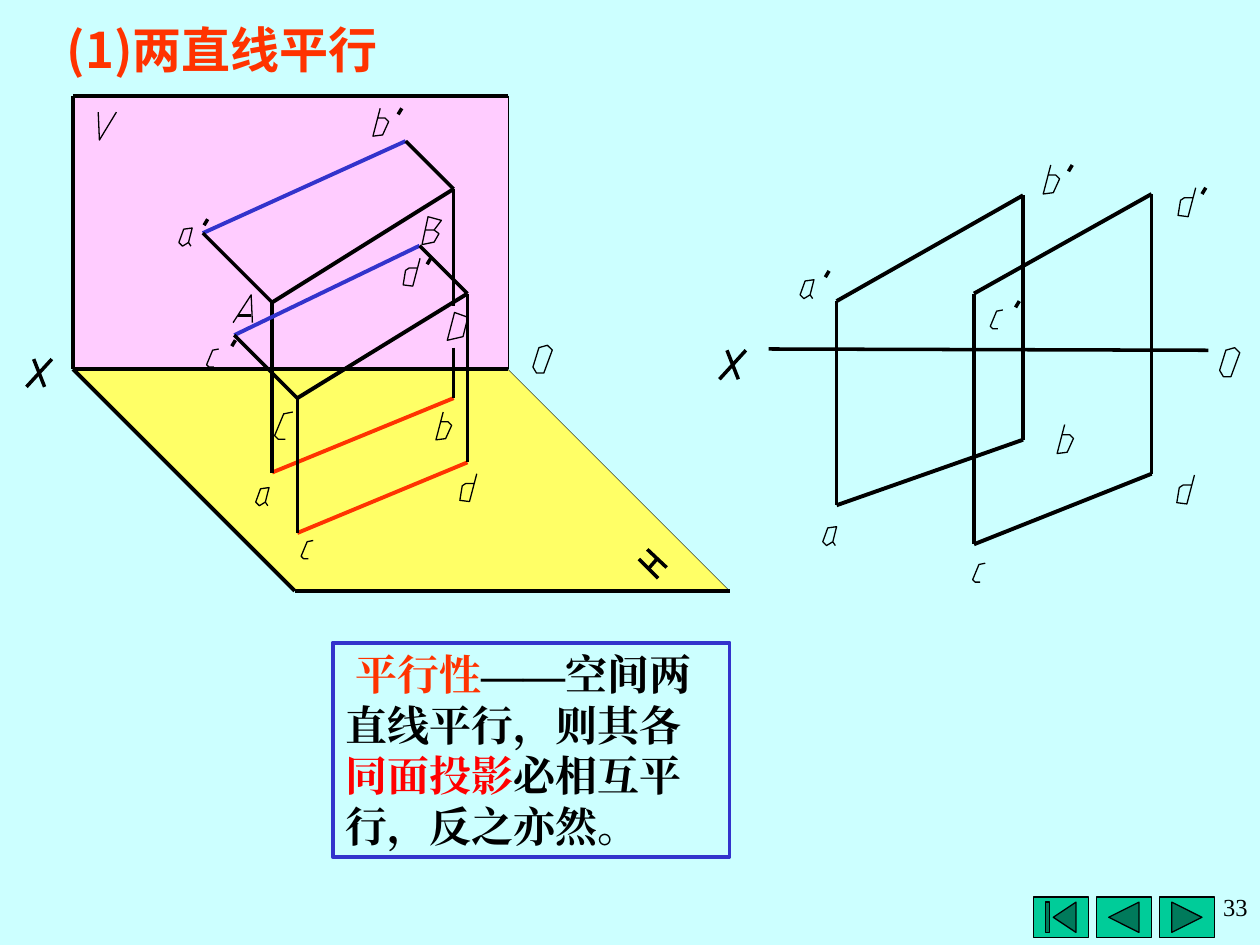
"""Build the slide on parallel lines: a two-plane view, its projections and the rule."""
import pptx
import pptx.dml.color
import pptx.enum.shapes
import pptx.enum.text
import pptx.oxml.ns
import pptx.util
from lxml import etree

RGBColor = pptx.dml.color.RGBColor
BLACK = RGBColor(0x00, 0x00, 0x00)
BLUE = RGBColor(0x33, 0x33, 0xCC)
ORANGE = RGBColor(0xFF, 0x33, 0x00)
RED = RGBColor(0xFF, 0x00, 0x00)
PINK = RGBColor(0xFF, 0xCC, 0xFF)
YELLOW = RGBColor(0xFF, 0xFF, 0x66)
GREEN = RGBColor(0x00, 0xCC, 0x99)
PALE_CYAN = RGBColor(0xCC, 0xFF, 0xFF)
HAIR, THIN, EDGE, THICK = 0, 0.25, 0.75, 2.25
LATIN_FONT, CHINESE_FONT = "Times New Roman", "Noto Sans CJK SC"
SHAPE = pptx.enum.shapes.MSO_SHAPE
ALIGN, ANCHOR = pptx.enum.text.PP_ALIGN, pptx.enum.text.MSO_ANCHOR

presentation = pptx.Presentation()
presentation.slide_width = pptx.util.Inches(10)
presentation.slide_height = pptx.util.Inches(7.5)
COLUMN = presentation.slide_width // 1000
ROW = presentation.slide_height // 750
slide = presentation.slides.add_slide(presentation.slide_layouts[5])
slide.background.fill.solid()
slide.background.fill.fore_color.rgb = PALE_CYAN


def draw_stroke(shapes, points, color=BLACK, width=HAIR):
    """Draw a connector through two points, or an open or closed outline through more."""
    places = [(round(x * COLUMN), round(y * ROW)) for x, y in points]
    if len(places) == 2:
        straight = pptx.enum.shapes.MSO_CONNECTOR.STRAIGHT
        shape = shapes.add_connector(straight, *places[0], *places[1])
    else:
        builder = shapes.build_freeform(*places[0], scale=1.0)
        builder.add_line_segments(places[1:], close=places[0] == places[-1])
        shape = builder.convert_to_shape()
        shape.fill.background()
    shape.line.color.rgb = color
    shape.line.width = pptx.util.Pt(width)
    if len(places) == 2:
        etree.SubElement(shape._element.spPr, pptx.oxml.ns.qn("a:effectLst"))
    else:
        shape.shadow.inherit = False
    return shape


def write_text(shape, box, runs, paragraph_format, font_format, anchor):
    """Place a shape on the grid and fill it with one formatted paragraph."""
    for name, value, unit in zip(("left", "top", "width", "height"), box, (COLUMN, ROW) * 2):
        setattr(shape, name, value * unit)
    frame_format = {
        "word_wrap": True,
        "auto_size": pptx.enum.text.MSO_AUTO_SIZE.NONE,
        "vertical_anchor": anchor,
    }
    for name, value in frame_format.items():
        setattr(shape.text_frame, name, value)
    paragraph = shape.text_frame.paragraphs[0]
    for name, value in paragraph_format.items():
        setattr(paragraph, name, value)
    for text, color in runs:
        run = paragraph.add_run()
        run.text = text
        for name, value in font_format.items():
            setattr(run.font, name, value)
        run.font.color.rgb = color
        east_asian = etree.SubElement(run._r.get_or_add_rPr(), pptx.oxml.ns.qn("a:ea"))
        east_asian.set("typeface", font_format["name"])
    return paragraph


buttons = [SHAPE.ACTION_BUTTON_BEGINNING, SHAPE.ACTION_BUTTON_BACK_OR_PREVIOUS,
           SHAPE.ACTION_BUTTON_FORWARD_OR_NEXT]
for index, kind in enumerate(buttons):
    button = slide.shapes.add_shape(
        kind, (820 + 50 * index) * COLUMN, 712 * ROW, 44 * COLUMN, 32 * ROW)
    button.shadow.inherit = False
    button.fill.solid()
    button.fill.fore_color.rgb = GREEN
    button.line.color.rgb = BLACK
    button.line.width = pptx.util.Pt(EDGE)

LEFT, RIGHT, TOP, AXIS, DEPTH = 58, 403, 76, 293, 176
top_left, top_right = (LEFT, TOP), (RIGHT, TOP)
axis_left, axis_right = (LEFT, AXIS), (RIGHT, AXIS)
front_left, front_right = (LEFT + DEPTH, AXIS + DEPTH), (RIGHT + DEPTH, AXIS + DEPTH)
planes = [(front_left, front_right, YELLOW), (top_left, top_right, PINK)]
for far_left, far_right, color in planes:
    outline = [axis_left, axis_right, far_right, far_left, axis_left]
    plane = draw_stroke(slide.shapes, outline)
    plane.fill.solid()
    plane.fill.fore_color.rgb = color
    plane.line.fill.background()

write_text(
    slide.shapes.title, (43, 10, 314, 57), [("(1)两直线平行", ORANGE)],
    {"alignment": ALIGN.LEFT},
    {"name": CHINESE_FONT, "size": pptx.util.Pt(28), "bold": True}, ANCHOR.MIDDLE)

rule_box = slide.shapes.add_shape(SHAPE.RECTANGLE, 0, 0, COLUMN, ROW)
rule_box.shadow.inherit = False
rule_box.fill.background()
rule_box.line.color.rgb = BLUE
rule_box.line.width = pptx.util.Pt(THICK)
rule_runs = [("平行性", ORANGE), ("——空间两直线平行，则其各", BLACK),
             ("同面投影", RED), ("必相互平行，反之亦然。", BLACK)]
rule = write_text(
    rule_box, (264, 510, 315, 170), rule_runs,
    {"alignment": ALIGN.LEFT, "line_spacing": pptx.util.Pt(28.8)},
    {"name": LATIN_FONT, "size": pptx.util.Pt(24), "bold": True}, ANCHOR.MIDDLE)
rule._p.get_or_add_pPr().set("indent", str(8 * COLUMN))

LETTERS = {
    "a": [[(10, 15), (8, 12), (11, 0), (4, 1), (0, 12), (3, 15), (8, 12)]],
    "b": [[(6, 0), (0, 23), (8, 22), (13, 11), (10, 8), (4, 8)]],
    "c": [[(10, 0), (5, 1), (0, 13), (2, 15), (6, 15)]],
    "d": [[(15, 0), (9, 23), (1, 22), (3, 10), (6, 8), (13, 8)]],
    "′": [[(0, 5), (3, 0)]],
    "A": [[(0, 23), (15, 0), (16, 23)], [(15, 17), (4, 17)]],
    "B": [[(3, 11), (10, 11), (16, 3), (5, 0), (0, 23), (10, 21), (14, 14), (10, 11)]],
    "D": [[(0, 23), (6, 0), (17, 4), (13, 20), (0, 23)]],
    "H": [[(0, 8), (16, 24)], [(8, 16), (15, 8)], [(7, 0), (23, 15)]],
    "O": [[(3, 23), (9, 23), (16, 4), (12, 0), (5, 2), (0, 18), (3, 23)]],
    "V": [[(0, 0), (1, 23), (15, 0)]],
    "X": [[(6, 0), (15, 23)], [(21, 0), (0, 23)]],
}
LETTERS["C"] = [[(x * 1.5, y * 1.5) for x, y in LETTERS["c"][0]]]

projection = {
    "scale": 1,
    "foot_color": BLACK,
    "edges": [((610, 277), (959, 278), HAIR)],
    "pairs": [[(664, 239, 0, 401), (812, 155, 0, 349)],
              [(773, 233, 0, 432), (914, 154, 0, 376)]],
    "labels": [("O", 968, 276), ("X", 571, 278), ("a", 653, 418), ("b", 839, 337),
               ("c", 772, 447), ("d", 933, 377), ("a′", 635, 222), ("b′", 828, 131),
               ("c′", 786, 246), ("d′", 934, 149)],
}
space_view = {
    "scale": 0.96,
    "foot_color": ORANGE,
    "edges": [(axis_left, front_left, THICK), (axis_right, front_right, THIN),
              (front_left, front_right, THICK), (top_left, top_right, THICK),
              (top_right, axis_right, THIN), (axis_right, axis_left, HAIR),
              (axis_left, top_left, THICK)],
    "pairs": [[(216, 240, 55, 375), (360, 150, 38, 316)],
              [(236, 316, 50, 423), (371, 233, 38, 367)]],
    "labels": [("A", 185, 234), ("B", 335, 172), ("C", 218, 327), ("D", 355, 248),
               ("a", 203, 387), ("b", 346, 327), ("c", 239, 429), ("d", 364, 376),
               ("a′", 142, 181), ("b′", 296, 86), ("c′", 164, 277), ("d′", 319, 205),
               ("O", 423, 274), ("X", 21, 285), ("H", 507, 436), ("V", 78, 89)],
}
hidden_gap = {360: (243, 276)}

for view in (projection, space_view):
    shapes = slide.shapes.add_group_shape().shapes
    for start, end, width in view["edges"]:
        draw_stroke(shapes, [start, end], BLACK, width)
    for pair in view["pairs"]:
        draw_stroke(shapes, [(x, y) for x, y, shift, foot in pair], BLACK, THICK)
        draw_stroke(shapes, [(x, foot) for x, y, shift, foot in pair], view["foot_color"], THICK)
        if pair[0][2]:
            images = [(x - shift, y - shift) for x, y, shift, foot in pair]
            draw_stroke(shapes, images, BLUE, THICK)
        for x, y, shift, foot in pair:
            if shift:
                draw_stroke(shapes, [(x, y), (x - shift, y - shift)])
            heights = [y, *hidden_gap.get(x, ()), foot]
            for upper, lower in zip(heights[::2], heights[1::2]):
                draw_stroke(shapes, [(x, upper), (x, lower)])
    for label, left, top in view["labels"]:
        for index, letter in enumerate(label):
            x = left + 20 * index
            y = top - 7 * index * (label[0] in "ac")
            for stroke in LETTERS[letter]:
                draw_stroke(shapes, [(x + across * view["scale"], y + down * view["scale"])
                                     for across, down in stroke])

write_text(
    slide.shapes.add_textbox(0, 0, COLUMN, ROW), (748, 703, 252, 47), [("33", BLACK)],
    {"alignment": ALIGN.RIGHT}, {"name": LATIN_FONT, "size": pptx.util.Pt(14)}, ANCHOR.TOP)

presentation.save("out.pptx")
